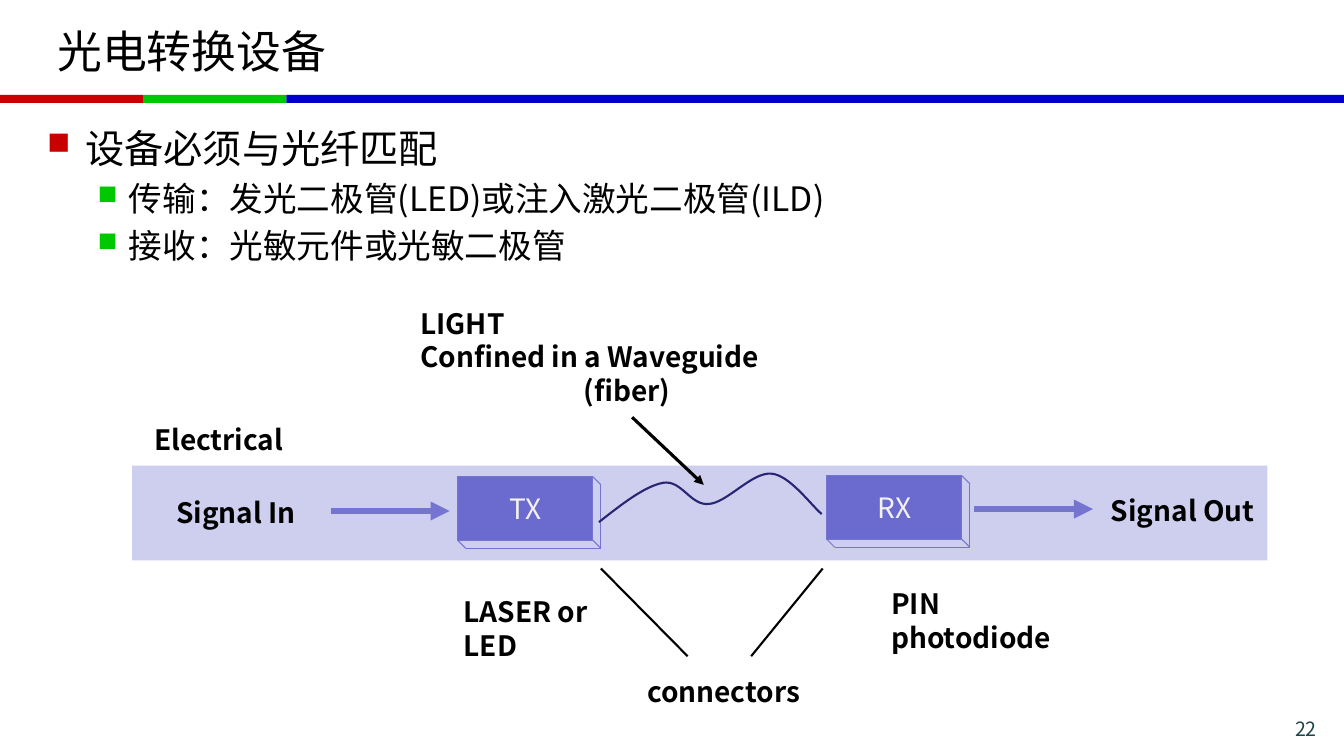
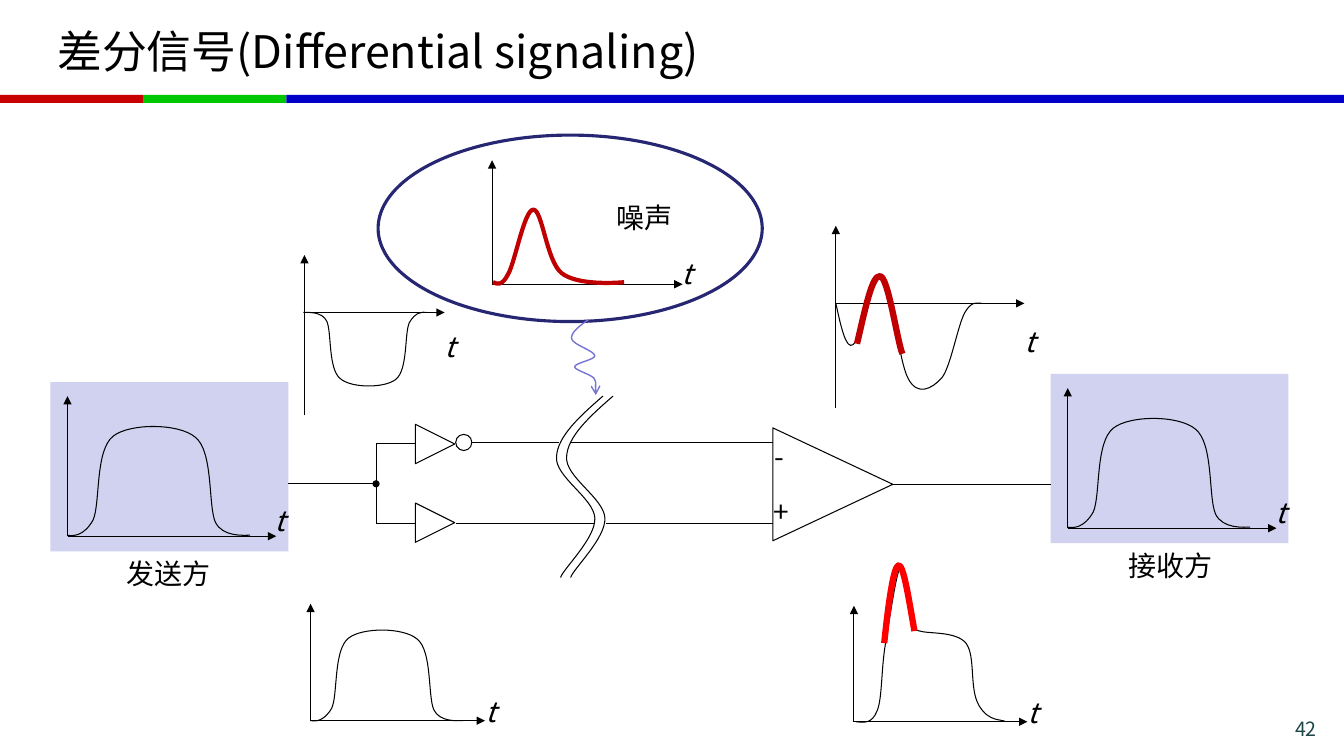
from lxml import etree
from pptx import Presentation, util as u
from pptx.dml.color import RGBColor
from pptx.enum import shapes, text
from pptx.oxml.ns import qn

FONT = "Noto Sans CJK SC"
BLACK = RGBColor(0, 0, 0)
WHITE = RGBColor(255, 255, 255)
RED = RGBColor(0xC8, 0, 0)
GREEN = RGBColor(0, 0xC8, 0)
BLUE = RGBColor(0, 0, 0xC8)
NUMBER = RGBColor(0x1E, 0x46, 0x49)
BLOCK = RGBColor(0x6B, 0x6B, 0xCF)
EDGE = RGBColor(0x75, 0x75, 0xD1)
STRIP = RGBColor(0xCE, 0xCE, 0xEF)
PANEL = RGBColor(0xD1, 0xD1, 0xF0)
NAVY = RGBColor(0x26, 0x26, 0x73)
PALE = RGBColor(0xF2, 0xF2, 0xF2)
NOISE = RGBColor(0xC0, 0, 0)
SPIKE = RGBColor(0xFF, 0, 0)

# All lengths count cells of a square grid
CELL = u.Inches(0.1)
COLUMNS, ROWS = 133.3, 75
LEFT, CENTER, RIGHT = text.PP_ALIGN.LEFT, text.PP_ALIGN.CENTER, text.PP_ALIGN.RIGHT
RECT, OVAL = shapes.MSO_SHAPE.RECTANGLE, shapes.MSO_SHAPE.OVAL
TRIANGLE = shapes.MSO_SHAPE.ISOSCELES_TRIANGLE


def stroke(page, points, color=BLACK, width=0.75, head=None):
    """Join two points by a straight line, or 3n + 1 points by Bezier curves."""
    ends = [(round(x * CELL), round(y * CELL)) for x, y in points]
    if len(ends) == 2:
        line = page.shapes.add_connector(shapes.MSO_CONNECTOR.STRAIGHT, *ends[0], *ends[1])
    else:
        builder = page.shapes.build_freeform(*ends[0])
        builder.add_line_segments(ends[1:], close=False)
        line = builder.convert_to_shape()
        line.fill.background()
        outline = line.element.find(".//" + qn("a:path"))
        steps = outline.findall(qn("a:lnTo"))
        for first in range(0, len(steps), 3):
            cubic = etree.SubElement(outline, qn("a:cubicBezTo"))
            for step in steps[first:first + 3]:
                cubic.append(step[0])
                outline.remove(step)
    line.line.color.rgb = color
    line.line.width = u.Pt(width)
    properties = line.element.spPr
    if head:
        etree.SubElement(properties.find(qn("a:ln")), qn("a:tailEnd"), type=head)
    etree.SubElement(properties, qn("a:effectLst"))


def write(para, words, size=20, color=BLACK, bold=False, italic=False, align=LEFT):
    para.add_run().text = words
    para.alignment = align
    para.line_spacing = u.Pt(size * 1.2)
    font = para.font
    font.name, font.size, font.bold, font.italic = FONT, u.Pt(size), bold, italic
    font.color.rgb = color
    etree.SubElement(para._p.pPr.find(qn("a:defRPr")), qn("a:ea"), typeface=FONT)


deck = Presentation()
deck.slide_width, deck.slide_height = round(COLUMNS * CELL), ROWS * CELL
blank = deck.slide_layouts[6]
fiber = deck.slides.add_slide(blank)
signaling = deck.slides.add_slide(blank)

# Preset shapes: page, kind, left, top, width, height, fill, line, line width, turn
BAND = 14.2
figures = [
    (page, RECT, left, 9.4, width, 0.8, fill, None, 0, 0)
    for page in (fiber, signaling)
    for left, width, fill in ((0, BAND, RED), (BAND, BAND, GREEN),
                              (2 * BAND, COLUMNS - 2 * BAND, BLUE))
]
figures += [
    (fiber, RECT, 13.1, 46.2, 112.6, 9.4, STRIP, None, 0, 0),
    (signaling, RECT, 5, 37.9, 23.6, 16.8, PANEL, None, 0, 0),
    (signaling, RECT, 104.2, 37.1, 23.6, 16.8, PANEL, None, 0, 0),
    (signaling, OVAL, 37.5, 13.4, 38.1, 18.5, None, NAVY, 2.25, 0),
    (signaling, OVAL, 37, 47.7, 0.6, 0.6, BLACK, BLACK, 0.75, 0),
    (signaling, OVAL, 45.2, 43.1, 1.6, 1.6, WHITE, BLACK, 0.75, 0),
    (signaling, TRIANGLE, 41.2, 42.1, 3.9, 3.9, None, BLACK, 0.75, 90),
    (signaling, TRIANGLE, 41.2, 49.9, 3.9, 3.9, None, BLACK, 0.75, 90),
    (signaling, TRIANGLE, 77, 42.1, 11.2, 11.9, None, BLACK, 0.75, 90),
]
for page, kind, left, top, width, height, fill, edge, weight, turn in figures:
    figure = page.shapes.add_shape(kind, *(round(n * CELL) for n in (left, top, width, height)))
    figure.shadow.inherit = False
    figure.rotation = turn
    if fill is None:
        figure.fill.background()
    else:
        figure.fill.solid()
        figure.fill.fore_color.rgb = fill
    if edge is None:
        figure.line.fill.background()
    else:
        figure.line.color.rgb = edge
        figure.line.width = u.Pt(weight)

# Transmitter and receiver blocks with a raised edge
BLOCK_W, BLOCK_H, DEPTH = 13.4, 6.3, 0.8
for name, left, top in (("TX", 45.4, 47.3), ("RX", 82, 47.2)):
    block = fiber.shapes.add_shape(
        RECT, *(round(n * CELL) for n in (left, top, BLOCK_W, BLOCK_H)))
    block.shadow.inherit = False
    block.fill.solid()
    block.fill.fore_color.rgb = BLOCK
    block.line.color.rgb = EDGE
    block.line.width = u.Pt(0.75)
    block.text_frame.vertical_anchor = text.MSO_ANCHOR.MIDDLE
    write(block.text_frame.paragraphs[0], name, color=PALE, align=CENTER)
    right, bottom = left + BLOCK_W, top + BLOCK_H
    corners = [(right, top), (right, bottom), (left, bottom)]
    shifted = [(x + DEPTH, y + DEPTH) for x, y in corners]
    for ends in [*zip(corners, shifted), *zip(shifted, shifted[1:])]:
        stroke(fiber, ends, EDGE)

# Light path between the blocks
for left, row in ((32.8, 50.7), (96.6, 50.5)):
    stroke(fiber, [(left, row), (left + 11.8, row)], EDGE, 4.5, "triangle")
stroke(fiber, [(59.4, 51.8), (61.7, 50), (64, 48.2), (65.8, 47.9), (67.6, 47.6), (68.5, 50.2),
               (70.3, 50), (72.1, 49.9), (74.6, 46.8), (76.5, 47), (78.3, 47.1), (80.5, 50.2),
               (81.5, 51)], NAVY, 1.5)
stroke(fiber, [(62.7, 41.4), (69.8, 48.1)], BLACK, 2.25, "triangle")
stroke(fiber, [(59.6, 56.4), (68.2, 65.1)], BLACK, 1.5)
stroke(fiber, [(81.6, 56.4), (74.5, 65.1)], BLACK, 1.5)

# Plots: origin column, axis row, top, bottom, right end, place of the t
plots = [
    (6.7, 53.2, 39.3, 53.2, 27.4, 26.2, 49.5),
    (105.9, 52.4, 38.5, 52.4, 126.6, 125.5, 48.7),
    (30.2, 31, 25.3, 41.2, 44.1, 43.1, 32.2),
    (30.8, 71.5, 59.9, 71.5, 48.1, 47.2, 68.4),
    (82.9, 30.1, 22.4, 40.5, 101.6, 100.6, 31.7),
    (84.7, 71.6, 60.1, 71.6, 101.9, 100.9, 68.5),
    (48.8, 28.2, 15.9, 28.2, 67.7, 66.6, 25),
]
for left, axis, top, bottom, right, _, _ in plots:
    stroke(signaling, [(left, bottom), (left, top)], head="triangle")
    stroke(signaling, [(left, axis), (right, axis)], head="triangle")

# One pulse in shares of its width and height; negative sizes turn it round
PULSE = [(0, 0), (0.03, -0.01), (0.09, -0.01), (0.14, 0.14), (0.18, 0.29), (0.15, 0.78),
         (0.25, 0.91), (0.34, 1.03), (0.61, 1.03), (0.7, 0.9), (0.8, 0.77), (0.77, 0.27),
         (0.81, 0.12), (0.85, -0.02), (0.97, 0), (1, 0)]
for left, base, width, height in ((6.7, 53.1, 18.1, 10.8), (105.9, 52.3, 18.1, 10.8),
                                  (30.8, 71.5, 15.1, 9), (42.3, 31, -12.2, -7.3)):
    stroke(signaling, [(left + x * width, base - y * height) for x, y in PULSE])

# Noise and the two disturbed signals
stroke(signaling, [(48.9, 28), (49.3, 28.2), (49.8, 28.4), (50.4, 27.2), (51.1, 26), (52, 20.8),
                   (52.9, 20.8), (53.8, 20.8), (54.2, 25.9), (55.7, 27.1), (57.2, 28.3),
                   (60.9, 28.1), (61.9, 28)], NOISE, 3)
stroke(signaling, [(82.9, 30.1), (83.4, 32.4), (83.9, 34.7), (84.6, 34.2), (85.4, 33.8),
                   (86.6, 26.9), (87.5, 27.4), (88.4, 28), (89.1, 35.9), (90.1, 37.6),
                   (91, 39.3), (92.4, 38.6), (93.4, 37.5), (94.3, 36.4), (95, 32.2),
                   (95.7, 31), (96.4, 29.8), (96.9, 30.1), (97.4, 30.1)])
stroke(signaling, [(85, 34.1), (85.8, 30.7), (86.5, 27.2), (87.3, 27.4), (88.1, 27.5),
                   (89, 33.9), (89.5, 35.1)], NOISE, 4.5)
stroke(signaling, [(84.9, 71.6), (85.7, 71.7), (86.5, 71.8), (87, 70.5), (87.5, 69.3),
                   (87.4, 66.4), (87.8, 64), (88.2, 61.6), (88.9, 56.7), (89.3, 56.3),
                   (89.7, 56), (90.1, 60.9), (90.4, 61.9), (90.7, 63), (90.3, 62.3),
                   (91.2, 62.6), (92.1, 62.9), (94.8, 62.6), (95.8, 63.8), (96.8, 65.1),
                   (96.1, 68.3), (97.1, 70), (98.1, 71.7), (99.4, 71.3), (99.7, 71.6)])
stroke(signaling, [(87.7, 63.8), (88.1, 60), (88.6, 56.3), (89.1, 56.1), (89.6, 55.9),
                   (90.1, 59.2), (90.7, 62.6)], SPIKE, 4.5)
stroke(signaling, [(58.4, 31.7), (57.5, 32.3), (56.6, 33), (56.7, 33.6), (56.8, 34.2),
                   (59, 34.8), (59, 35.3), (59, 35.7), (57, 36), (57, 36.4), (57, 36.7),
                   (58.5, 37.1), (58.9, 37.5), (59.2, 38), (59, 38.7), (59.1, 39.2)],
       EDGE, 1, "arrow")

# Wires, with a break drawn as two parallel curves
for ends in (
    [(28.6, 48), (37.3, 48)], [(37.3, 44), (37.3, 51.9)],
    [(37.3, 44), (41.2, 44)], [(37.3, 51.9), (41.2, 51.9)],
    [(46.7, 43.9), (55.4, 43.9)], [(56.6, 43.9), (76.7, 43.9)],
    [(45.2, 51.9), (59, 51.9)], [(60.1, 51.9), (76.7, 51.9)],
    [(88.5, 48.1), (104.2, 48.1)],
):
    stroke(signaling, ends)
for shift in (0, 1):
    stroke(signaling, [(x + shift, y) for x, y in (
        (59.8, 39.3), (57.5, 41.3), (55.3, 43.3), (55.2, 45.3), (55, 47.3), (58.9, 49.4),
        (59, 51.4), (59.1, 53.4), (55.8, 56.5), (55.6, 57.3))])

# Text boxes: page, left, top, width, height, lines, style
bold = {"bold": True}
labels = [
    (fiber, 16.5, 48.7, 15.7, 4.4, ["Signal In"], bold),
    (fiber, 109.2, 48.5, 17.3, 4.4, ["Signal Out"], bold),
    (fiber, 40.7, 29.9, 43, 11.1, ["LIGHT", "Confined in a Waveguide", "(fiber)"], bold),
    (fiber, 45, 58.5, 15.7, 7.7, ["LASER or LED"], bold),
    (fiber, 87.4, 57.7, 20.3, 7.7, ["PIN", "photodiode"], bold),
    (fiber, 63.2, 66.4, 20.5, 4.4, ["connectors"], bold),
    (fiber, 14.3, 41.4, 15.7, 4.4, ["Electrical"], bold),
    (signaling, 75.8, 43.1, 8.1, 4.4, ["-"], {}),
    (signaling, 75.7, 48.6, 8.1, 4.4, ["+"], {}),
    (signaling, 11.6, 54.7, 10.8, 4.4, ["发送方"], {}),
    (signaling, 110.9, 53.9, 10.8, 4.4, ["接收方"], {}),
    (signaling, 60.2, 19.4, 9.7, 4.4, ["噪声"], {}),
]
labels += [(signaling, x, y, 5, 4.4, ["t"], {"italic": True}) for *_, x, y in plots]
for page, title, number in ((fiber, "光电转换设备", "22"),
                            (signaling, "差分信号(Differential signaling)", "42")):
    labels += [
        (page, 4.7, 0.8, 123.9, 8.4, [title], {"size": 32}),
        (page, 118.6, 70.6, 13, 2.8, [number], {"size": 14, "color": NUMBER, "align": RIGHT}),
    ]
for page, left, top, width, height, lines, style in labels:
    box = page.shapes.add_textbox(*(round(n * CELL) for n in (left, top, width, height)))
    frame = box.text_frame
    frame.word_wrap = True
    if style.get("size") == 32:
        frame.vertical_anchor = text.MSO_ANCHOR.MIDDLE
    for index, words in enumerate(lines):
        para = frame.add_paragraph() if index else frame.paragraphs[0]
        write(para, words, **style)
        if words == "(fiber)":
            para.alignment = CENTER

# Bulleted text: words, level, size, indent, hanging, bullet colour
body = fiber.shapes.add_textbox(*(round(n * CELL) for n in (3.7, 11.8, 126, 17))).text_frame
body.word_wrap = True
for index, (words, level, size, indent, hanging, color) in enumerate((
    ("设备必须与光纤匹配", 0, 28, 3.8, 3.8, RED),
    ("传输：发光二极管(LED)或注入激光二极管(ILD)", 1, 24, 8.1, 3.1, GREEN),
    ("接收：光敏元件或光敏二极管", 1, 24, 8.1, 3.1, GREEN),
)):
    para = body.add_paragraph() if index else body.paragraphs[0]
    para.level = level
    properties = para._p.get_or_add_pPr()
    properties.set("marL", str(round(indent * CELL)))
    properties.set("indent", str(round(-hanging * CELL)))
    tint = etree.SubElement(properties, qn("a:buClr"))
    etree.SubElement(tint, qn("a:srgbClr"), val=str(color))
    etree.SubElement(properties, qn("a:buSzPct"), val="80000")
    etree.SubElement(properties, qn("a:buChar"), char="■")
    if index:
        para.space_before = u.Pt(size * 0.2)
    write(para, words, size)

deck.save("out.pptx")
